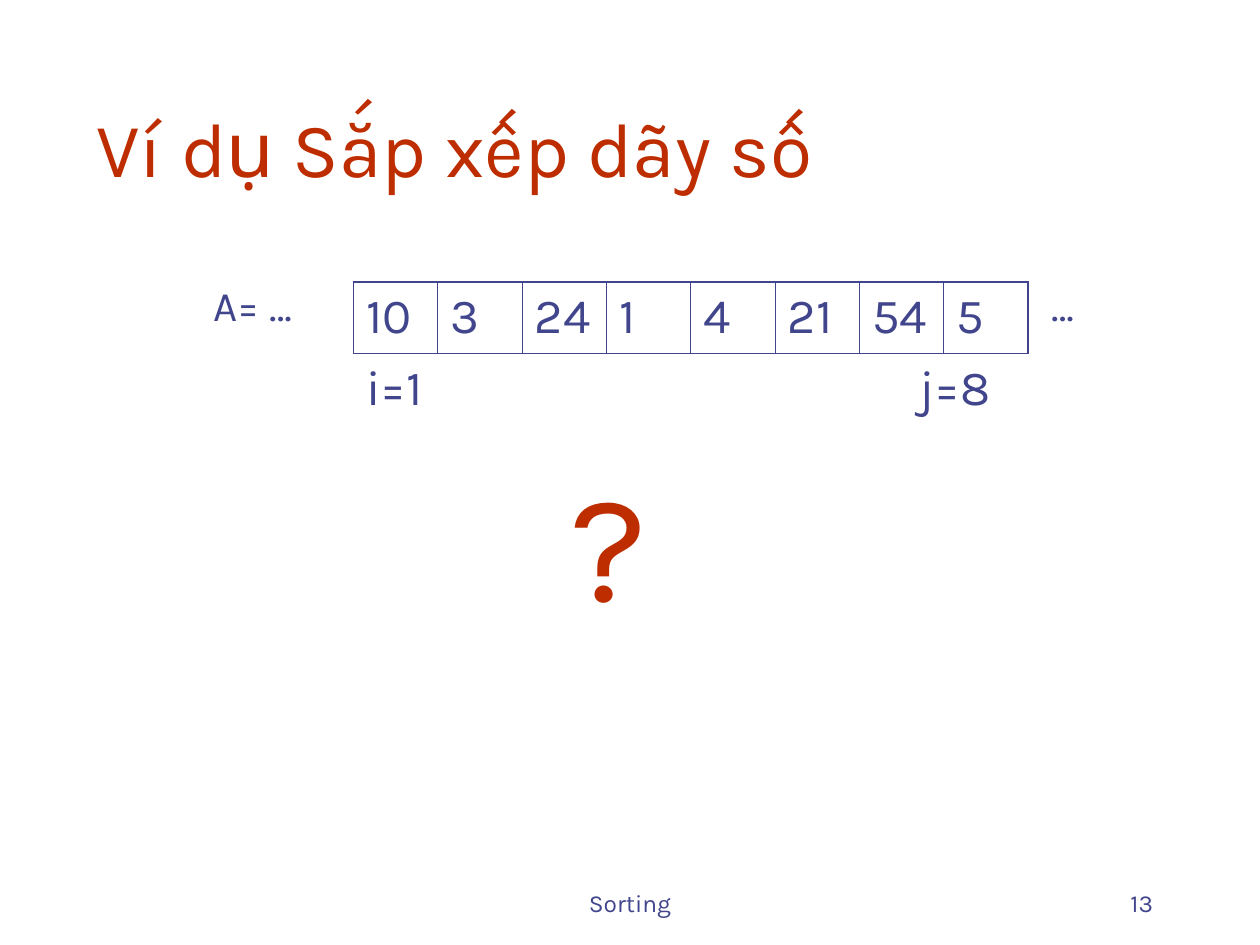
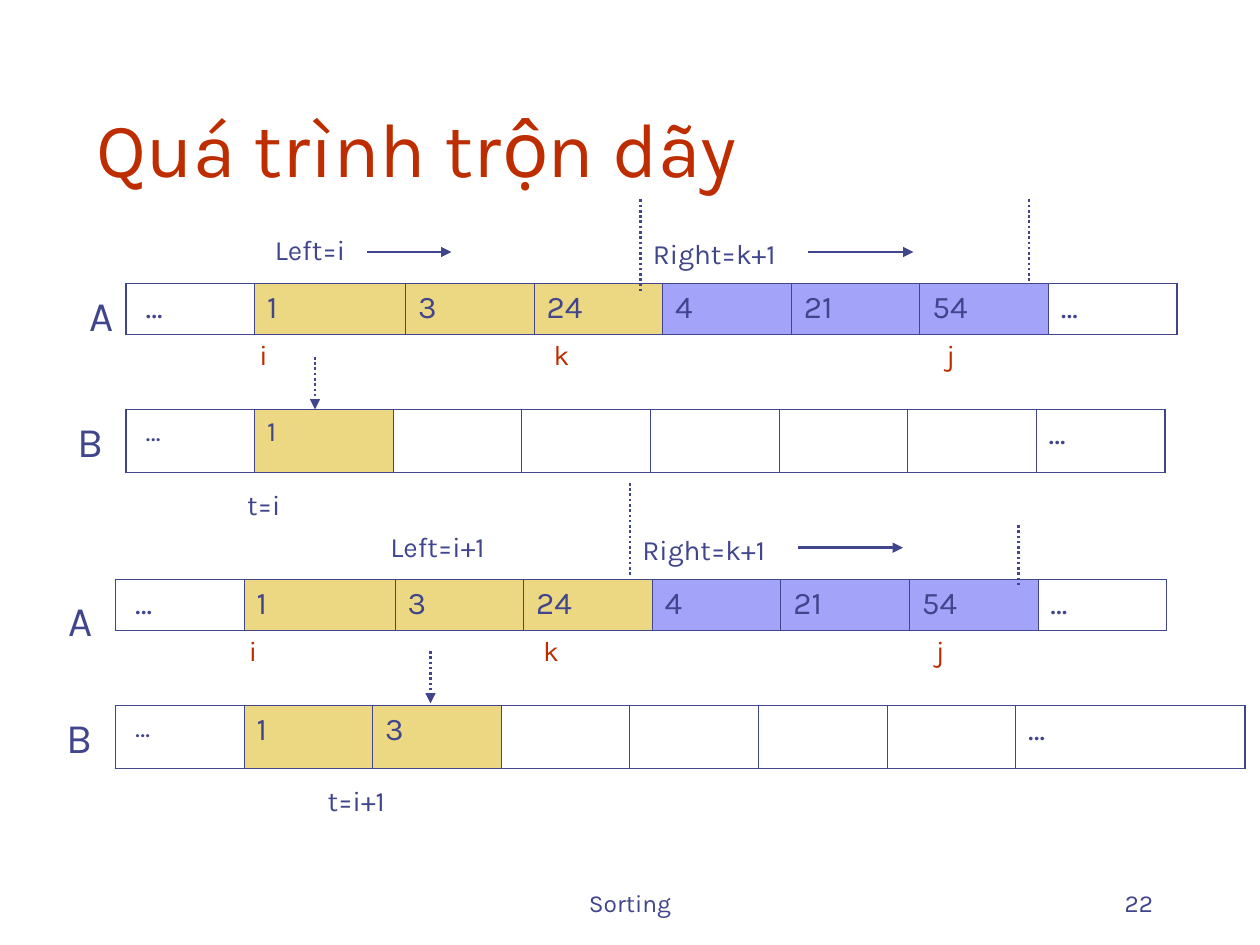
"""Build two slides on sorting a number sequence by merging."""
from lxml import etree
from pptx import Presentation
from pptx.dml.color import RGBColor
from pptx.enum.dml import MSO_LINE
from pptx.enum.shapes import MSO_CONNECTOR
from pptx.enum.text import MSO_ANCHOR, PP_ALIGN
from pptx.oxml.ns import qn
from pptx.util import Pt

STRAIGHT = MSO_CONNECTOR.STRAIGHT
DOTTED = MSO_LINE.ROUND_DOT
TOP, BOTTOM = MSO_ANCHOR.TOP, MSO_ANCHOR.BOTTOM
LEFT, CENTER, RIGHT = PP_ALIGN.LEFT, PP_ALIGN.CENTER, PP_ALIGN.RIGHT

COLOURS = {"ink": "40458C", "accent": "BE2D00", "left": "ECD882", "right": "A3A3F9"}
FONT = "Karla"
PLAIN_TABLE = "{2D5ABB26-0587-4C30-8999-92F81FD0307C}"
THIN, THICK = 0.45, 1.08


def write(frame, words, size, colour="ink", align=LEFT, anchor=TOP):
    frame.word_wrap = True
    frame.vertical_anchor = anchor
    para = frame.paragraphs[0]
    para.alignment = align
    span = para.add_run()
    span.text = words
    span.font.name = FONT
    span.font.size = Pt(size)
    span.font.color.rgb = RGBColor.from_string(COLOURS[colour])


def add_grid(page, left, top, column_width, heights, values, sizes, fills, merges, notes):
    columns = len(values)
    shape = page.shapes.add_table(2, columns, Pt(left), Pt(top),
                                  Pt(column_width * columns), Pt(sum(heights)))
    table = shape.table
    table.first_row = table.horz_banding = False
    table._tbl.tblPr.find(qn("a:tableStyleId")).text = PLAIN_TABLE
    for row, height in zip(table.rows, heights):
        row.height = Pt(height)
    for index in range(columns):
        table.columns[index].width = Pt(column_width)
        edges = {"lnL": THIN if index else THICK,
                 "lnR": THIN if index < columns - 1 else THICK,
                 "lnT": THICK, "lnB": THIN}
        for row_index, borders in enumerate((edges, {"lnT": THIN})):
            cell = table.cell(row_index, index)
            properties = cell._tc.get_or_add_tcPr()
            for side, width in borders.items():
                line = etree.SubElement(properties, qn(f"a:{side}"), w=str(Pt(width)))
                solid = etree.SubElement(line, qn("a:solidFill"))
                etree.SubElement(solid, qn("a:srgbClr"), val=COLOURS["ink"])
            if row_index == 0 and index in fills:
                cell.fill.solid()
                cell.fill.fore_color.rgb = RGBColor.from_string(COLOURS[fills[index]])
            else:
                cell.fill.background()
        if values[index]:
            cell = table.cell(0, index)
            if index == 0 and values[index] == "…":
                cell.margin_left = Pt(11.2)
            write(cell.text_frame, values[index], sizes[index])
    for first, last in merges:
        table.cell(1, first).merge(table.cell(1, last))
    for index, words, size, colour, indent, margin_top in notes:
        cell = table.cell(1, index)
        cell.margin_left = Pt(7.2 + indent)
        cell.margin_top = Pt(margin_top)
        write(cell.text_frame, words, size, colour)


deck = Presentation()
deck.slide_width, deck.slide_height = Pt(720), Pt(540)

sequence_labels = [
    ("?", 174, 252, 348, 113, 88, "accent", CENTER),
    ("A= …", 66, 156, 108, 36, 24, "ink", RIGHT),
    ("…", 594, 156, 90, 36, 24, "ink", LEFT),
]
merge_labels = [
    ("A", 18, 162, 54, 36, 24, "ink", RIGHT),
    ("B", 24, 234, 42, 36, 24, "ink", RIGHT),
    ("Left=i", 150, 129.5, 72, 26.6, 16, "ink", LEFT),
    ("Right=k+1", 366, 131.8, 96, 26.6, 16, "ink", LEFT),
    ("A", 6, 336, 54, 36, 24, "ink", RIGHT),
    ("B", 18, 403, 42, 36, 24, "ink", RIGHT),
    ("Left=i+1", 216, 298.8, 84, 26.6, 16, "ink", LEFT),
    ("Right=k+1", 360, 301, 96, 26.6, 16, "ink", LEFT),
]
pages = []
for title, number, labels in (("Ví dụ Sắp xếp dãy số", "13", sequence_labels),
                              ("Quá trình trộn dãy", "22", merge_labels)):
    page = deck.slides.add_slide(deck.slide_layouts[5])
    pages.append(page)
    heading = page.shapes.title
    heading.left, heading.top = Pt(48), Pt(24)
    heading.width, heading.height = Pt(612), Pt(90)
    write(heading.text_frame, title, 44, "accent", LEFT, BOTTOM)
    footers = [("Sorting", 246, 492, 228, 36, 14, "ink", CENTER, BOTTOM),
               (number, 516, 492, 150, 36, 14, "ink", RIGHT, BOTTOM)]
    for words, left, top, width, height, *style in footers + labels:
        box = page.shapes.add_textbox(Pt(left), Pt(top), Pt(width), Pt(height))
        write(box.text_frame, words, *style)

sequence_page, merge_page = pages
END_PAIRS = [(0, 1), (6, 7)]
add_grid(sequence_page, 202, 161.2, 48.2, (41, 41),
         ["10", "3", "24", "1", "4", "21", "54", "5"], [28] * 8, {}, END_PAIRS,
         [(0, "i=1", 28, "ink", 0, 3.6), (6, "j=8", 28, "ink", 27, 3.6)])

source_values = ["…", "1", "3", "24", "4", "21", "54", "…"]
source_fills = dict(enumerate(["left"] * 3 + ["right"] * 3, start=1))
source_notes = [(0, "i", 16, "accent", 69, 3.6),
                (3, "k", 16, "accent", 4, 3.6),
                (6, "j", 16, "accent", 8, 3.6)]
steps = [
    (72, 162, 234, 1, 16, END_PAIRS, (0, "t=i", 16, "ink", 62, 10)),
    (66, 331.2, 403.2, 2, 18, [(0, 7)], (0, "t=i+1", 16, "ink", 114, 10)),
]
for left, source_top, target_top, merged, size, merges, note in steps:
    add_grid(merge_page, left, source_top, 73.5, (28.8, 26.6), source_values,
             [18] * 8, source_fills, END_PAIRS, source_notes)
    target_values = ["…"] + source_values[1:merged + 1] + [""] * (6 - merged) + ["…"]
    add_grid(merge_page, left, target_top, 73.5, (36, 36), target_values,
             [16] + [size] * 6 + [18], dict.fromkeys(range(1, merged + 1), "left"),
             merges, [note])

lines = [
    (210, 144, 258, 144, False, True),
    (462, 144, 522, 144, False, True),
    (366, 114, 366, 168, True, False),
    (588, 114, 588, 162, True, False),
    (582, 300, 582, 336, True, False),
    (180, 204, 180, 234, True, True),
    (456, 313, 516, 313, False, True),
    (246, 372, 246, 402, True, True),
    (360, 276, 360, 330, True, False),
]
for start_x, start_y, end_x, end_y, dotted, arrow in lines:
    connector = merge_page.shapes.add_connector(
        STRAIGHT, Pt(start_x), Pt(start_y), Pt(end_x), Pt(end_y))
    connector.line.color.rgb = RGBColor.from_string(COLOURS["ink"])
    connector.line.width = Pt(1.5)
    if dotted:
        connector.line.dash_style = DOTTED
    if arrow:
        etree.SubElement(connector.line._get_or_add_ln(), qn("a:tailEnd"), type="triangle")
    etree.SubElement(connector._element.spPr, qn("a:effectLst"))

deck.save("out.pptx")
